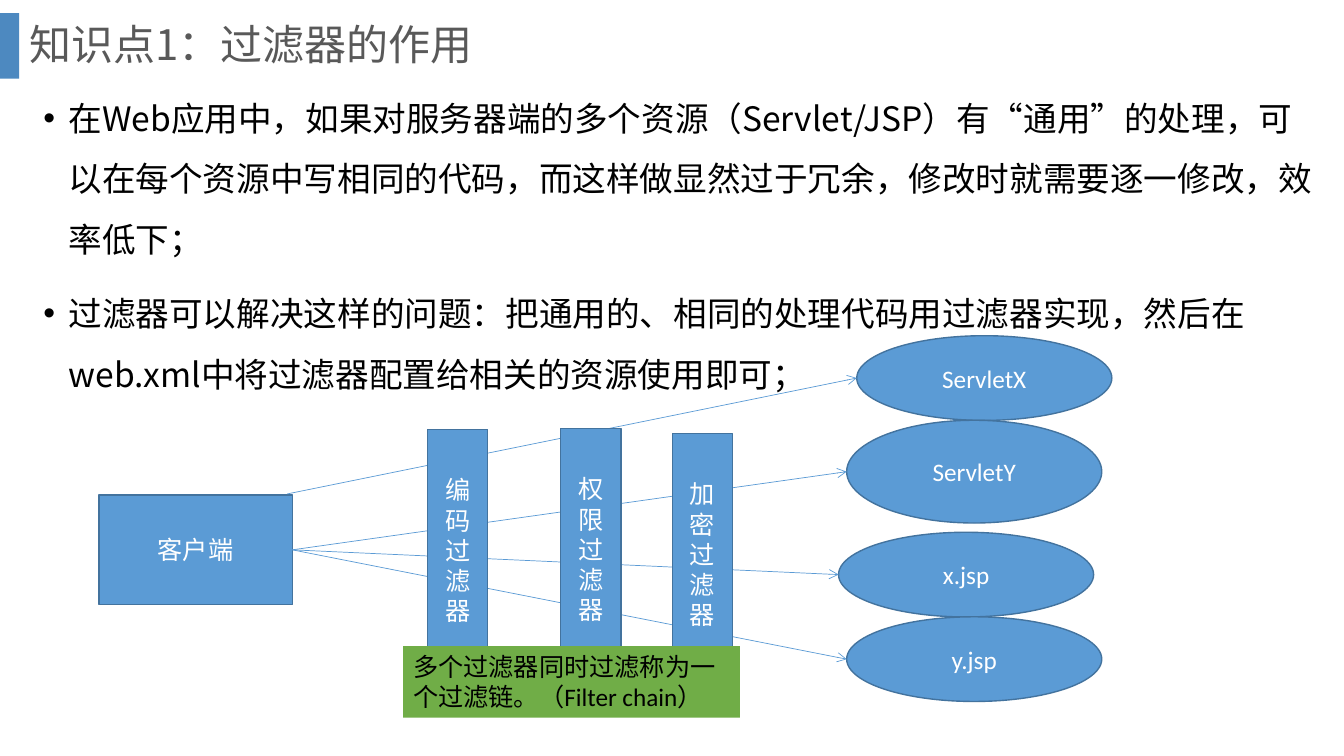
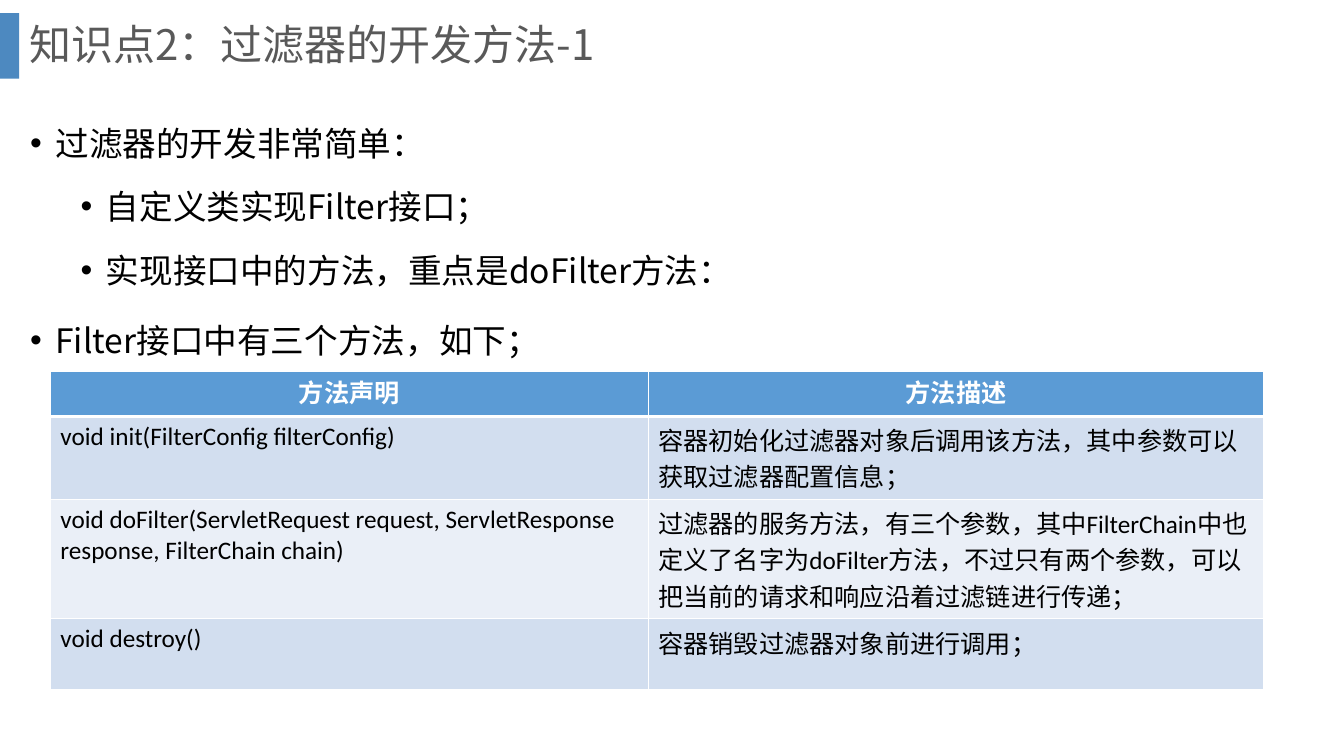
from dataclasses import dataclass

from lxml import etree
from pptx import Presentation
from pptx.dml.color import RGBColor
from pptx.enum.shapes import MSO_CONNECTOR, MSO_SHAPE
from pptx.enum.text import MSO_ANCHOR, MSO_AUTO_SIZE, PP_ALIGN
from pptx.oxml.ns import qn
from pptx.util import Pt

SANS = "Noto Sans CJK SC"
LATIN = "Calibri"

BLACK = RGBColor(0x00, 0x00, 0x00)
WHITE = RGBColor(0xFF, 0xFF, 0xFF)
GRAY = RGBColor(0x59, 0x59, 0x59)
BAND_BLUE = RGBColor(0x2E, 0x75, 0xB6)
BLUE = RGBColor(0x5B, 0x9B, 0xD5)
DARK_BLUE = RGBColor(0x43, 0x73, 0x9E)
GREEN = RGBColor(0x70, 0xAD, 0x47)
ROW_TINTS = (RGBColor(0xD2, 0xDE, 0xEF), RGBColor(0xEA, 0xEF, 0xF7))

LABEL_LEADING = 21.6


@dataclass(frozen=True)
class Box:
    left: float
    top: float
    width: float
    height: float

    @property
    def middle(self) -> float:
        return self.top + self.height / 2

    def lengths(self) -> tuple:
        return Pt(self.left), Pt(self.top), Pt(self.width), Pt(self.height)


@dataclass(frozen=True)
class TextStyle:
    size: float
    color: RGBColor
    font: str = LATIN
    bold: bool = False


@dataclass(frozen=True)
class Node:
    text: str
    box: Box
    geometry: MSO_SHAPE = MSO_SHAPE.RECTANGLE


@dataclass(frozen=True)
class Bullet:
    text: str
    level: int = 0


@dataclass(frozen=True)
class Method:
    declaration: str
    description: str
    height: float


TITLE_STYLE = TextStyle(30, GRAY, SANS)
BODY_STYLE = TextStyle(24, BLACK, SANS)
LABEL_STYLE = TextStyle(18, WHITE)
NOTE_STYLE = TextStyle(18, BLACK)
HEADER_STYLE = TextStyle(18, WHITE, bold=True)

BAND_BOX = Box(0, 9.4, 13.7, 46.8)
TITLE_BOX = Box(13.7, 0, 911.5, 67)

PURPOSE = (
    Bullet("在Web应用中，如果对服务器端的多个资源（Servlet/JSP）有“通用”的处理，可以在每个资源中写相同的代码，"
           "而这样做显然过于冗余，修改时就需要逐一修改，效率低下；"),
    Bullet("过滤器可以解决这样的问题：把通用的、相同的处理代码用过滤器实现，"
           "然后在web.xml中将过滤器配置给相关的资源使用即可；"),
)
DEVELOPMENT = (
    Bullet("过滤器的开发非常简单："),
    Bullet("自定义类实现Filter接口；", 1),
    Bullet("实现接口中的方法，重点是doFilter方法：", 1),
    Bullet("Filter接口中有三个方法，如下；"),
)

RESOURCES = (
    Node("ServletX", Box(612, 239.8, 182.2, 60.5), MSO_SHAPE.OVAL),
    Node("ServletY", Box(604.8, 300.2, 182.2, 73.4), MSO_SHAPE.OVAL),
    Node("x.jsp", Box(599, 380.2, 182.2, 60.5), MSO_SHAPE.OVAL),
    Node("y.jsp", Box(604.8, 440.6, 182.2, 60.5), MSO_SHAPE.OVAL),
)
CLIENT = Node("客户端", Box(70.6, 353.5, 138.2, 78.5))
FILTERS = (
    Node("编码过滤器", Box(305.3, 306.7, 43.2, 172.8)),
    Node("权限过滤器", Box(400.3, 306, 43.2, 172.8)),
    Node("加密过滤器", Box(480.2, 309.6, 43.2, 172.8)),
)
CHAIN_NOTE_BOX = Box(288, 461.5, 240.5, 51.1)

TABLE_BOX = Box(36, 265, 866.9, 227.2)
COLUMN_WIDTHS = (427, 439.9)
HEADERS = ("方法声明", "方法描述")
HEADER_HEIGHT = 32.4
METHODS = (
    Method("void init(FilterConfig filterConfig)",
           "容器初始化过滤器对象后调用该方法，其中参数可以获取过滤器配置信息；", 59),
    Method("void doFilter(ServletRequest request, ServletResponse response, FilterChain chain)",
           "过滤器的服务方法，有三个参数，其中FilterChain中也定义了名字为doFilter方法，不过只有两个参数，"
           "可以把当前的请求和响应沿着过滤链进行传递；", 85.4),
    Method("void destroy()", "容器销毁过滤器对象前进行调用；", 50.4),
)


def add_run(paragraph, text: str, style: TextStyle) -> None:
    run = paragraph.add_run()
    run.text = text
    font = run.font
    font.size, font.bold, font.name = Pt(style.size), style.bold, style.font
    font.color.rgb = style.color
    east_asian = etree.Element(qn("a:ea"), typeface=SANS)
    run._r.rPr.find(qn("a:latin")).addnext(east_asian)


def place(shape, box: Box) -> None:
    shape.left, shape.top, shape.width, shape.height = box.lengths()


def add_shape(slide, geometry: MSO_SHAPE, box: Box, fill: RGBColor):
    shape = slide.shapes.add_shape(geometry, *box.lengths())
    shape.shadow.inherit = False
    shape.fill.solid()
    shape.fill.fore_color.rgb = fill
    shape.line.fill.background()
    return shape


def write_label(shape, text: str, style: TextStyle, align: PP_ALIGN, anchor: MSO_ANCHOR) -> None:
    frame = shape.text_frame
    frame.word_wrap = True
    frame.vertical_anchor = anchor
    paragraph = frame.paragraphs[0]
    paragraph.alignment = align
    paragraph.line_spacing = Pt(LABEL_LEADING)
    add_run(paragraph, text, style)


def add_node(slide, node: Node) -> None:
    shape = add_shape(slide, node.geometry, node.box, BLUE)
    shape.line.color.rgb = DARK_BLUE
    shape.line.width = Pt(1)
    write_label(shape, node.text, LABEL_STYLE, PP_ALIGN.CENTER, MSO_ANCHOR.MIDDLE)


def add_arrow(slide, start: tuple[float, float], end: tuple[float, float]) -> None:
    arrow = slide.shapes.add_connector(
        MSO_CONNECTOR.STRAIGHT, *(Pt(value) for value in start + end))
    arrow.line.color.rgb = BLUE
    arrow.line.width = Pt(0.5)
    etree.SubElement(arrow.line._get_or_add_ln(), qn("a:tailEnd"), type="arrow")
    etree.SubElement(arrow._element.spPr, qn("a:effectLst"))


def add_titled_slide(deck, title: str):
    slide = deck.slides.add_slide(deck.slide_layouts[1])
    band = add_shape(slide, MSO_SHAPE.RECTANGLE, BAND_BOX, BAND_BLUE)
    color = band._element.spPr.find(qn("a:solidFill"))[0]
    etree.SubElement(color, qn("a:alpha"), val="85000")

    heading = slide.shapes.title
    place(heading, TITLE_BOX)
    frame = heading.text_frame
    frame.auto_size = MSO_AUTO_SIZE.NONE
    frame.vertical_anchor = MSO_ANCHOR.MIDDLE
    paragraph = frame.paragraphs[0]
    paragraph.alignment = PP_ALIGN.LEFT
    paragraph.line_spacing = 0.9
    add_run(paragraph, title, TITLE_STYLE)
    return slide


def fill_body(slide, box: Box, bullets: tuple[Bullet, ...], leading: float) -> None:
    body = slide.placeholders[1]
    place(body, box)
    frame = body.text_frame
    frame.auto_size = MSO_AUTO_SIZE.NONE
    frame.vertical_anchor = MSO_ANCHOR.TOP
    for index, bullet in enumerate(bullets):
        paragraph = frame.add_paragraph() if index else frame.paragraphs[0]
        paragraph.level = bullet.level
        properties = paragraph._p.get_or_add_pPr()
        properties.set("marL", str(Pt(18 + 36 * bullet.level)))
        properties.set("indent", str(Pt(-18)))
        etree.SubElement(properties, qn("a:buFont"), typeface="Arial")
        etree.SubElement(properties, qn("a:buChar"), char="•")
        paragraph.line_spacing = Pt(leading)
        paragraph.space_before = Pt((5 if bullet.level else 10) if index else 0)
        add_run(paragraph, bullet.text, BODY_STYLE)


def set_borders(cell, bottom: float) -> None:
    """Draw white cell borders, ahead of the fill as the schema requires."""
    properties = cell._tc.get_or_add_tcPr()
    for position, (side, width) in enumerate((("L", 1), ("R", 1), ("T", 1), ("B", bottom))):
        line = etree.Element(qn(f"a:ln{side}"), w=str(Pt(width)))
        fill = etree.SubElement(line, qn("a:solidFill"))
        etree.SubElement(fill, qn("a:srgbClr"), val=str(WHITE))
        properties.insert(position, line)


def write_cell(cell, text: str, style: TextStyle, fill: RGBColor, leading: float,
               align: PP_ALIGN = PP_ALIGN.LEFT, bottom: float = 1) -> None:
    cell.fill.solid()
    cell.fill.fore_color.rgb = fill
    set_borders(cell, bottom)
    paragraph = cell.text_frame.paragraphs[0]
    paragraph.alignment = align
    paragraph.line_spacing = Pt(leading)
    add_run(paragraph, text, style)


def add_method_table(slide) -> None:
    table = slide.shapes.add_table(
        len(METHODS) + 1, len(HEADERS), *TABLE_BOX.lengths()).table
    for column, width in zip(table.columns, COLUMN_WIDTHS):
        column.width = Pt(width)
    heights = (HEADER_HEIGHT, *(method.height for method in METHODS))
    for row, height in zip(table.rows, heights):
        row.height = Pt(height)
    for column, header in enumerate(HEADERS):
        write_cell(table.cell(0, column), header, HEADER_STYLE, BLUE, 24,
                   PP_ALIGN.CENTER, bottom=3)
    for row, method in enumerate(METHODS, start=1):
        tint = ROW_TINTS[(row - 1) % 2]
        write_cell(table.cell(row, 0), method.declaration, NOTE_STYLE, tint, 22)
        write_cell(table.cell(row, 1), method.description, NOTE_STYLE, tint, 26)


def build_purpose_slide(deck) -> None:
    slide = add_titled_slide(deck, "知识点1：过滤器的作用")
    fill_body(slide, Box(23.8, 51.7, 928.8, 486), PURPOSE, 43.2)
    for node in (*RESOURCES, CLIENT):
        add_node(slide, node)
    client_right = CLIENT.box.left + CLIENT.box.width
    for index, resource in enumerate(RESOURCES):
        start = (client_right, CLIENT.box.middle) if index else (205.2, 352.8)
        add_arrow(slide, start, (resource.box.left, resource.box.middle))
    for node in FILTERS:
        add_node(slide, node)
    note = add_shape(slide, MSO_SHAPE.RECTANGLE, CHAIN_NOTE_BOX, GREEN)
    write_label(note, "多个过滤器同时过滤称为一个过滤链。（Filter chain）",
                NOTE_STYLE, PP_ALIGN.LEFT, MSO_ANCHOR.TOP)


def build_development_slide(deck) -> None:
    slide = add_titled_slide(deck, "知识点2：过滤器的开发方法-1")
    fill_body(slide, Box(14.4, 72.6, 928.8, 195.8), DEVELOPMENT, 40.3)
    add_method_table(slide)


def main() -> None:
    deck = Presentation()
    deck.slide_width, deck.slide_height = Pt(960), Pt(540)
    build_purpose_slide(deck)
    build_development_slide(deck)
    deck.save("out.pptx")


if __name__ == "__main__":
    main()
